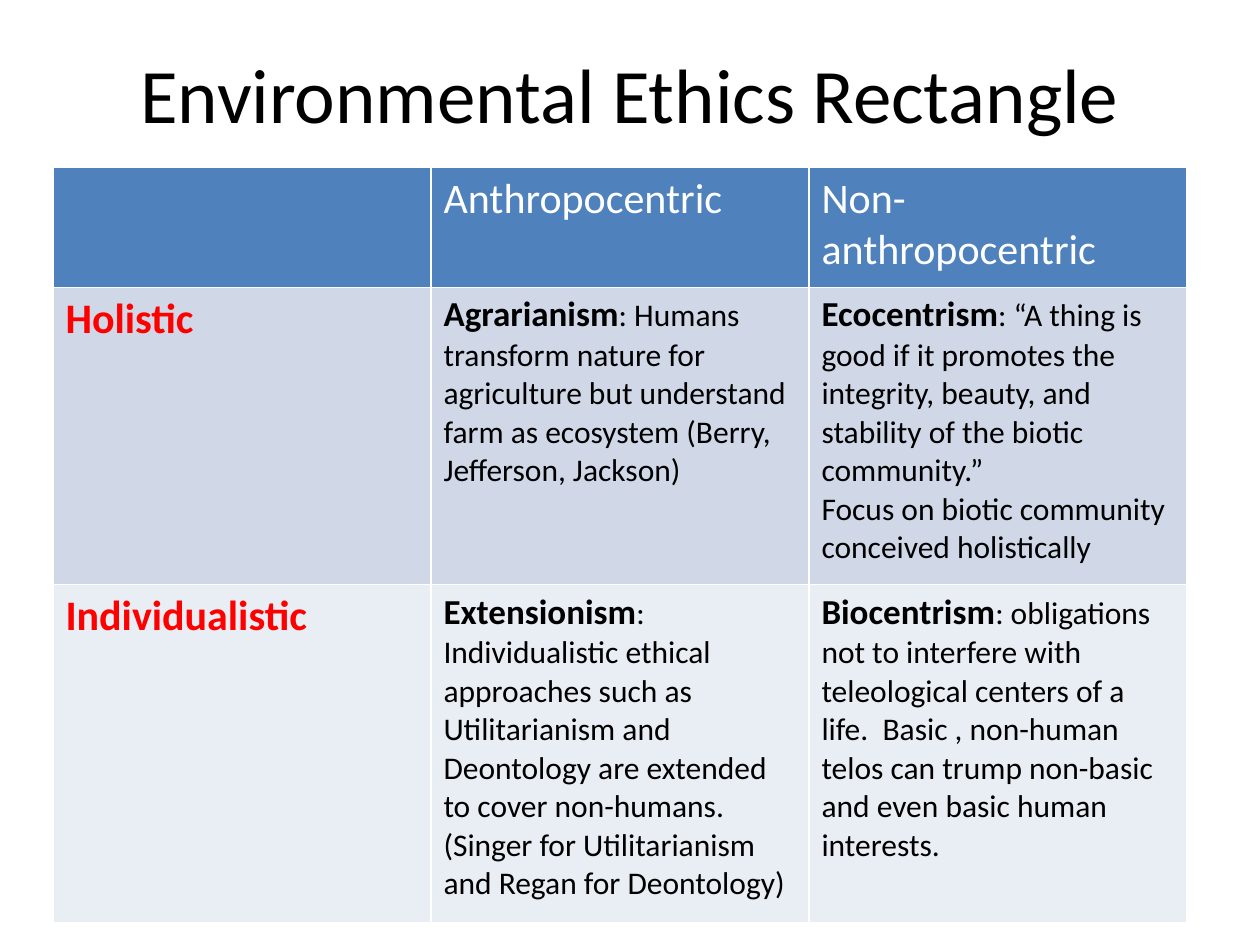
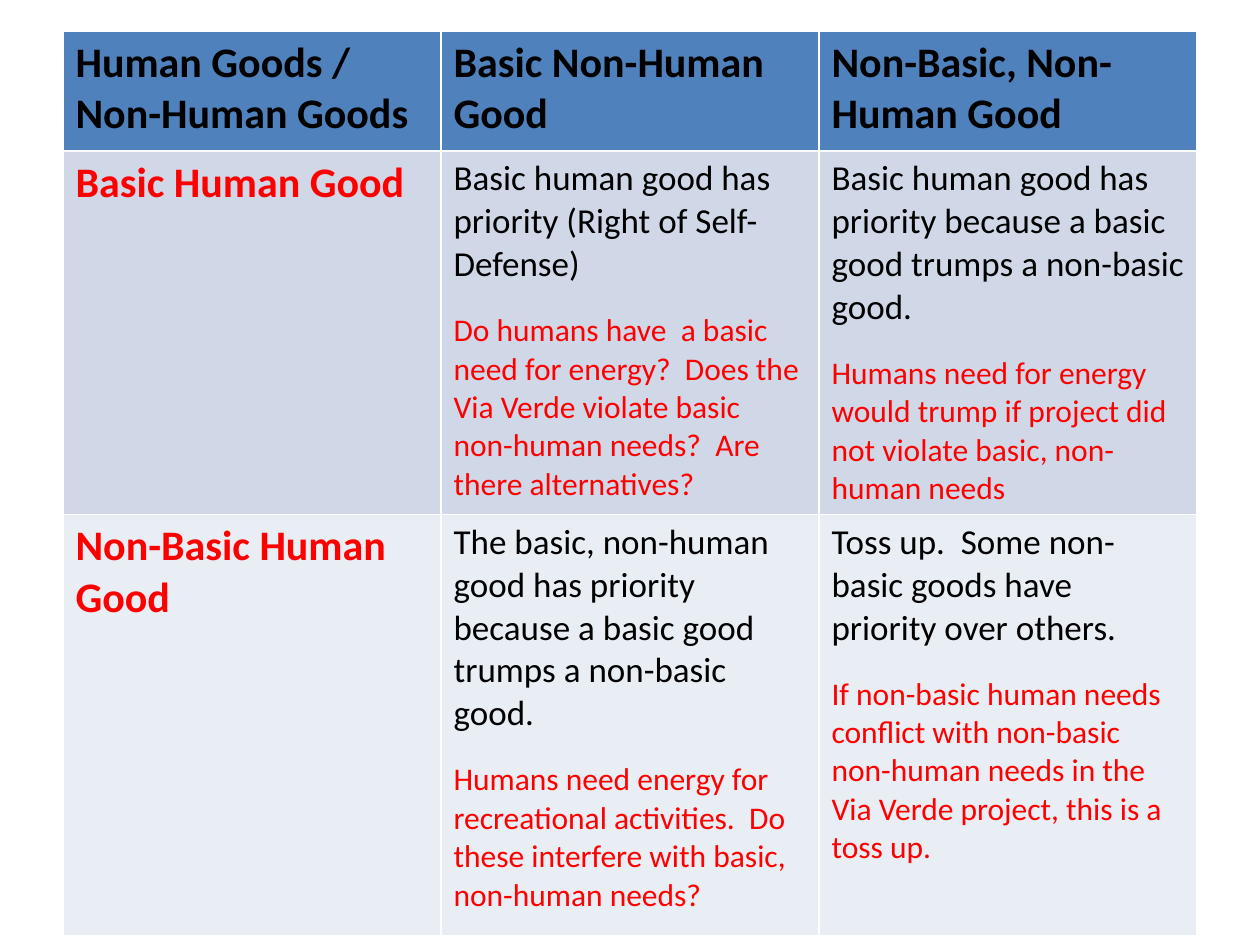
from pptx import Presentation
from pptx.dml.color import RGBColor
from pptx.enum.text import MSO_ANCHOR, PP_ALIGN
from pptx.util import Inches, Pt

CENTER = PP_ALIGN.CENTER
MIDDLE = MSO_ANCHOR.MIDDLE
TITLE_ONLY, BLANK = 5, 6  # layout numbers in the default template

FONT = "Calibri"
BLACK, WHITE, RED = "000000", "FFFFFF", "FF0000"
ROW_FILLS = ["4F81BD", "D0D8E8", "E9EDF4"]
COLUMN_WIDTH = 3
QUESTION_GAP = 14.6  # points above a follow-up question

# style name: (size, colour, bold)
STYLES = {
    "title": (44, BLACK, False),
    "light head": (24, WHITE, False),
    "dark head": (24, BLACK, True),
    "side head": (24, RED, True),
    "term": (20, BLACK, True),
    "detail": (18, BLACK, False),
    "rule": (20, BLACK, False),
    "question": (18, RED, False),
}


def head(text, style):
    """Return a cell of one paragraph with one run."""
    return [[(text, style)]]


def position(term, detail, *more):
    """Return a cell that names an ethical position and explains it."""
    return [[(term, "term"), (": " + detail, "detail")]] + [
        [(text, "detail")] for text in more]


def verdict(rule, question):
    """Return a cell with a priority rule and a follow-up remark."""
    return [[(rule, "rule")], [(question, "question")]]


ETHICS_TITLE = "Environmental Ethics Rectangle"
ETHICS_ROWS = [
    [[], head("Anthropocentric", "light head"),
     head("Non-anthropocentric", "light head")],
    [head("Holistic", "side head"),
     position("Agrarianism",
              "Humans transform nature for agriculture but understand farm "
              "as ecosystem (Berry, Jefferson, Jackson)"),
     position("Ecocentrism",
              "“A thing is good if it promotes the integrity, beauty, and "
              "stability of the biotic community.”",
              "Focus on biotic community conceived holistically")],
    [head("Individualistic", "side head"),
     position("Extensionism",
              "Individualistic ethical approaches such as Utilitarianism and "
              "Deontology are extended to cover non-humans. (Singer for "
              "Utilitarianism and Regan for Deontology)"),
     position("Biocentrism",
              "obligations not to interfere with teleological centers of a "
              "life.  Basic , non-human telos can trump non-basic and even "
              "basic human interests.")],
]

GOODS_ROWS = [
    [head("Human Goods / Non-Human Goods", "dark head"),
     head("Basic Non-Human Good", "dark head"),
     head("Non-Basic, Non-Human Good", "dark head")],
    [head("Basic Human Good", "side head"),
     verdict("Basic human good has priority (Right of Self-Defense)",
             "Do humans have  a basic need for energy?  Does the Via Verde "
             "violate basic non-human needs?  Are there alternatives?"),
     verdict("Basic human good has priority because a basic good trumps a "
             "non-basic good.",
             "Humans need for energy would trump if project did not violate "
             "basic, non-human needs")],
    [head("Non-Basic Human Good", "side head"),
     verdict("The basic, non-human good has priority because a basic good "
             "trumps a non-basic good.",
             "Humans need energy for recreational activities.  Do these "
             "interfere with basic, non-human needs?"),
     verdict("Toss up.  Some non-basic goods have priority over others.",
             "If non-basic human needs conflict with non-basic non-human "
             "needs in the Via Verde project, this is a toss up.")],
]


def color(value):
    """Turn a hex string into a colour."""
    return RGBColor.from_string(value)


def add_span(para, text, style):
    """Add one run in a named style."""
    size, ink, bold = STYLES[style]
    span = para.add_run()
    span.text = text
    span.font.name = FONT
    span.font.size = Pt(size)
    span.font.bold = bold
    span.font.color.rgb = color(ink)


def fill_cell(cell, paragraphs, fill):
    """Colour a cell and write its paragraphs."""
    cell.fill.solid()
    cell.fill.fore_color.rgb = color(fill)
    frame = cell.text_frame
    for index, spans in enumerate(paragraphs):
        para = frame.add_paragraph() if index else frame.paragraphs[0]
        for text, style in spans:
            add_span(para, text, style)
            if style == "question":
                para.space_before = Pt(QUESTION_GAP)


def add_matrix(page, rows, left, top, heights):
    """Add a table with equal columns; its style draws the white rules."""
    count = len(rows[0])
    table = page.shapes.add_table(
        len(rows), count, Inches(left), Inches(top),
        Inches(COLUMN_WIDTH * count), Inches(sum(heights))).table
    for column in table.columns:
        column.width = Inches(COLUMN_WIDTH)
    for row, cells, height, fill in zip(table.rows, rows, heights, ROW_FILLS):
        row.height = Inches(height)
        for cell, paragraphs in zip(row.cells, cells):
            fill_cell(cell, paragraphs, fill)


def add_title(page, text):
    """Place and write the slide title."""
    box = page.shapes.title
    box.left, box.top = Inches(0.5), Inches(0.3)
    box.width, box.height = Inches(9), Inches(0.87)
    box.text_frame.vertical_anchor = MIDDLE
    para = box.text_frame.paragraphs[0]
    para.alignment = CENTER
    add_span(para, text, "title")


deck = Presentation()
deck.slide_width, deck.slide_height = Inches(10), Inches(7.5)

ethics_page = deck.slides.add_slide(deck.slide_layouts[TITLE_ONLY])
add_title(ethics_page, ETHICS_TITLE)
add_matrix(ethics_page, ETHICS_ROWS, 0.42, 1.33, [0.95, 2.36, 2.68])

goods_page = deck.slides.add_slide(deck.slide_layouts[BLANK])
add_matrix(goods_page, GOODS_ROWS, 0.5, 0.25, [0.95, 2.88, 3.34])

deck.save("out.pptx")
